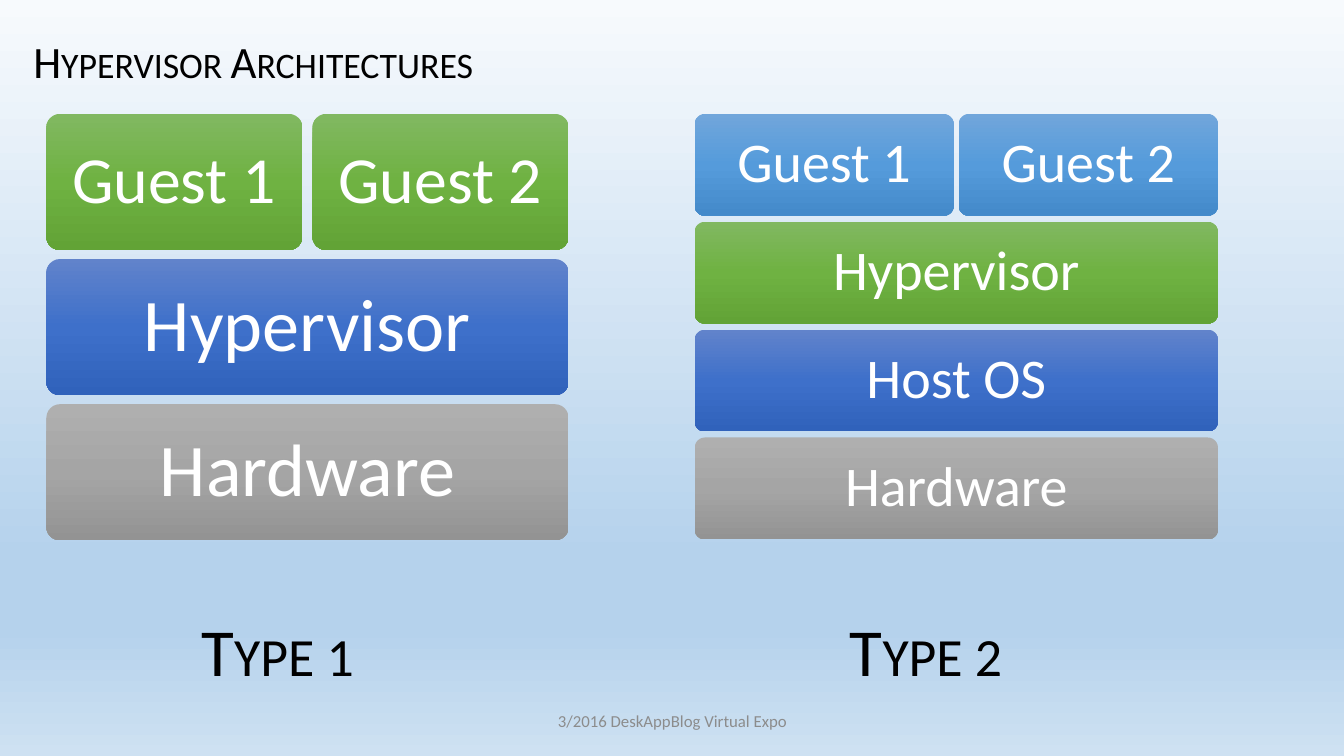
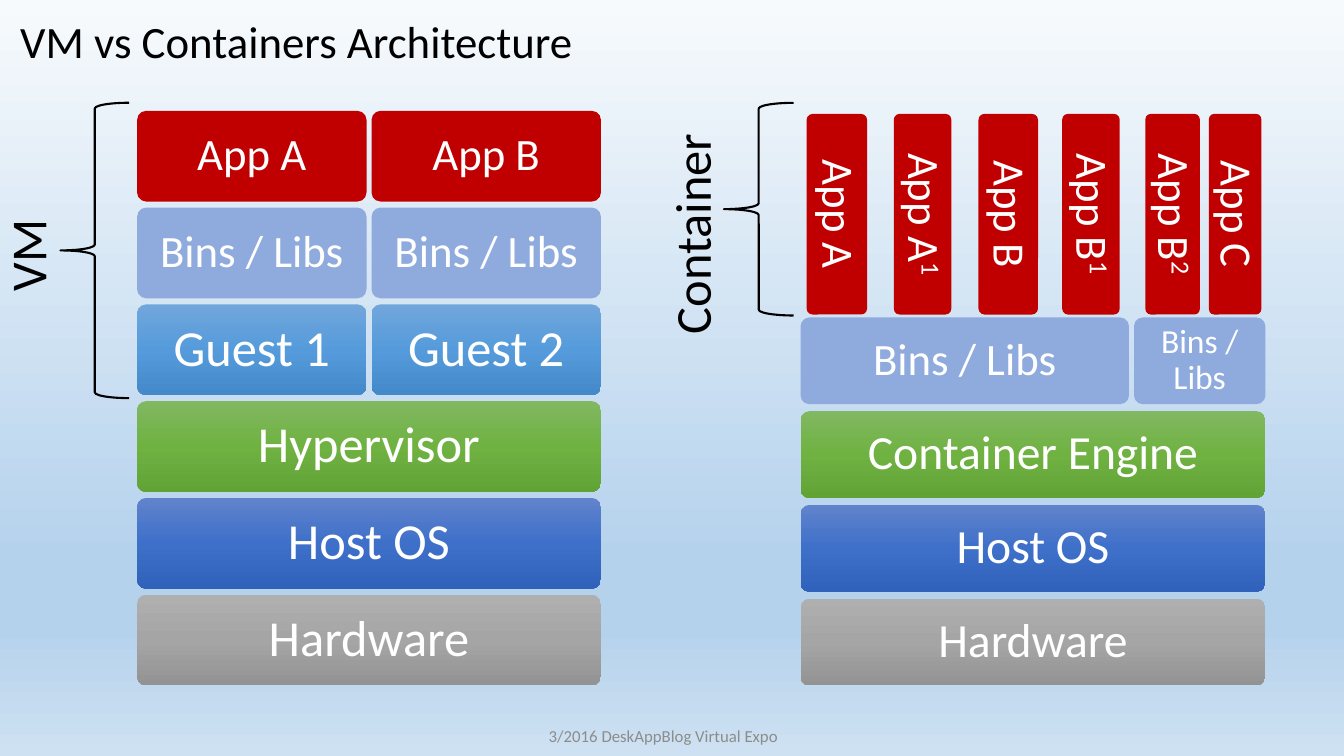
from copy import deepcopy
from dataclasses import dataclass

from pptx import Presentation
from pptx import util as u
from pptx.dml.color import RGBColor
from pptx.enum import shapes, text
from pptx.oxml.ns import qn


@dataclass(frozen=True)
class Theme:
    font: str = "Calibri"
    ink: str = "000000"
    light: str = "FFFFFF"
    muted: str = "8C8C8C"
    title: int = 32
    footer: int = 12
    label: int = 36
    caption: int = 48
    app: int = 32


THEME = Theme()
BACKGROUND = ((0, "F7FAFD"), (74, "B5D2EC"), (83, "B5D2EC"), (100, "CEE1F2"))
FILLS = {
    "gray": ((0, "AFAFAF"), (50, "A5A5A5"), (100, "939393")),
    "blue": ((0, "6183CB"), (50, "3E70CA"), (100, "3062BB")),
    "green": ((0, "81B861"), (50, "6FB242"), (100, "62A336")),
    "sky": ((0, "71A6DB"), (50, "559BDB"), (100, "448ACA")),
    "libs": "8FAADC",
    "red": "C00000",
}
FOOTER = "3/2016 DeskAppBlog Virtual Expo"

# A stack row is (fill, cells); a cell is (label, type size, share of the width).
# Boxes are left, top, width, height in inches.
SLIDES = [
    {
        "title": ("Hypervisor Architectures", (0.23, 0.28, 6, 0.64), True),
        "footer": (4.42, 6.95, 4.5, 0.4),
        "stacks": [
            {"at": (0.46, 1.13), "width": 5.18, "height": 1.35, "pitch": 1.44, "gap": 0.1,
             "rows": [("green", [("Guest 1", 47, 1), ("Guest 2", 47, 1)]),
                      ("blue", [("Hypervisor", 53, 1)]),
                      ("gray", [("Hardware", 53, 1)])]},
            {"at": (6.89, 1.13), "width": 5.19, "height": 1.01, "pitch": 1.07, "gap": 0.05,
             "rows": [("sky", [("Guest 1", 40, 1), ("Guest 2", 40, 1)]),
                      ("green", [("Hypervisor", 40, 1)]),
                      ("blue", [("Host OS", 40, 1)]),
                      ("gray", [("Hardware", 40, 1)])]},
        ],
        "captions": [("Type 1", (1.9, 5.99, 1.83, 0.91)),
                     ("Type 2", (8.33, 5.99, 1.83, 0.91))],
    },
    {
        "title": ("VM vs Containers Architecture", (0.1, 0.08, 6.79, 0.64), False),
        "footer": (4.33, 7.1, 4.5, 0.4),
        "stacks": [
            {"at": (1.36, 1.1), "width": 4.6, "height": 0.9, "pitch": 0.96, "gap": 0.05,
             "rows": [("red", [("App A", 32, 1), ("App B", 32, 1)]),
                      ("libs", [("Bins / Libs", 32, 1), ("Bins / Libs", 32, 1)]),
                      ("sky", [("Guest 1", 36, 1), ("Guest 2", 36, 1)]),
                      ("green", [("Hypervisor", 36, 1)]),
                      ("blue", [("Host OS", 36, 1)]),
                      ("gray", [("Hardware", 36, 1)])]},
            {"at": (7.94, 3.15), "width": 4.61, "height": 0.86, "pitch": 0.93, "gap": 0.05,
             "rows": [("libs", [("Bins / Libs", 32, 5), ("Bins / Libs", 24, 2)]),
                      ("green", [("Container Engine", 34, 1)]),
                      ("blue", [("Host OS", 34, 1)]),
                      ("gray", [("Hardware", 34, 1)])]},
        ],
        "braces": [("VM", (-0.2, 2.21, 0.92, 0.63), (0.6, 1.02, 0.68, 2.93)),
                   ("Container", (5.59, 1.82, 2.52, 0.67), (7.18, 1.02, 0.69, 2.11))],
        # label, superscript, centre, width
        "apps": [("App A", "", 8.3, 0.6), ("App A", "1", 9.15, 0.57),
                 ("App B", "", 10, 0.59), ("App B", "1", 10.82, 0.57),
                 ("App B", "2", 11.63, 0.54), ("App C", "", 12.25, 0.52)],
    },
]
APP_TOP, APP_HEIGHT = 1.13, 1.99


def inches(box):
    return [u.Inches(v) for v in box]


def gradient(fill, holder, stops):
    """Give fill a top-to-bottom gradient; holder is the XML element around it."""
    fill.gradient()
    fill.gradient_angle = 270
    gs_list = next(holder.iter(qn("a:gsLst")))
    while len(gs_list) < len(stops):
        gs_list.append(deepcopy(gs_list[0]))
    for stop, (position, color) in zip(fill.gradient_stops, stops):
        stop.color.rgb = RGBColor.from_string(color)
        stop.position = position / 100


def write(sp, words, size, color, align=text.PP_ALIGN.LEFT, small_caps=False,
          raised="", inset=None):
    tf = sp.text_frame
    tf.word_wrap = True
    tf.auto_size = text.MSO_AUTO_SIZE.NONE
    tf.vertical_anchor = text.MSO_ANCHOR.MIDDLE
    if inset is not None:
        tf.margin_left = tf.margin_right = u.Inches(inset)
        tf.margin_top = tf.margin_bottom = 0
    p = tf.paragraphs[0]
    p.alignment = align
    p.font.name, p.font.size = THEME.font, u.Pt(size)
    p.font.color.rgb = RGBColor.from_string(color)
    if small_caps:
        p.font._element.set("cap", "small")
    p.add_run().text = words
    if raised:
        r = p.add_run()
        r.text = raised
        r.font._element.set("baseline", "30000")
    return p


def text_box(slide, box, *args, rotation=0, **kwargs):
    sp = slide.shapes.add_textbox(*inches(box))
    sp.rotation = rotation
    write(sp, *args, **kwargs)


def block(slide, box, fill, label, size, rotation=0, raised="", inset=0.15):
    sp = slide.shapes.add_shape(shapes.MSO_SHAPE.ROUNDED_RECTANGLE, *inches(box))
    sp.adjustments[0] = 0.1
    sp.rotation = rotation
    sp.shadow.inherit = False
    sp.line.fill.background()
    paint = FILLS[fill]
    if isinstance(paint, str):
        sp.fill.solid()
        sp.fill.fore_color.rgb = RGBColor.from_string(paint)
    else:
        gradient(sp.fill, sp._element, paint)
    p = write(sp, label, size, THEME.light, text.PP_ALIGN.CENTER, raised=raised, inset=inset)
    p.line_spacing = 0.9


def stack(slide, at, width, height, pitch, gap, rows):
    left, top = at
    for i, (fill, cells) in enumerate(rows):
        unit = (width - gap * (len(cells) - 1)) / sum(share for *_, share in cells)
        x = left
        for label, size, share in cells:
            block(slide, (x, top + i * pitch, unit * share, height), fill, label, size)
            x += unit * share + gap


def app_column(slide, label, raised, centre, width):
    """Draw an app as a block turned a quarter, so its text reads downwards."""
    box = (centre - APP_HEIGHT / 2, APP_TOP + (APP_HEIGHT - width) / 2, APP_HEIGHT, width)
    block(slide, box, "red", label, THEME.app, rotation=90, raised=raised, inset=0)


def brace(slide, label, label_box, box):
    sp = slide.shapes.add_shape(shapes.MSO_SHAPE.LEFT_BRACE, *inches(box))
    sp.shadow.inherit = False
    sp.fill.background()
    sp.line.color.rgb = RGBColor.from_string(THEME.ink)
    sp.line.width = u.Pt(1.5)
    text_box(slide, label_box, label, THEME.label, THEME.ink, rotation=270)


def build(prs, content):
    slide = prs.slides.add_slide(prs.slide_layouts.get_by_name("Title Only"))
    words, box, small_caps = content["title"]
    title = slide.shapes.title
    title.left, title.top, title.width, title.height = inches(box)
    write(title, words, THEME.title, THEME.ink, small_caps=small_caps)
    for spec_of_stack in content["stacks"]:
        stack(slide, **spec_of_stack)
    for app in content.get("apps", []):
        app_column(slide, *app)
    for item in content.get("braces", []):
        brace(slide, *item)
    for caption, box in content.get("captions", []):
        text_box(slide, box, caption, THEME.caption, THEME.ink, small_caps=True)
    text_box(slide, content["footer"], FOOTER, THEME.footer, THEME.muted,
             text.PP_ALIGN.CENTER)


def main():
    prs = Presentation()
    prs.slide_width, prs.slide_height = inches((13.33, 7.5))
    master = prs.slide_master
    gradient(master.background.fill, master.element, BACKGROUND)
    for content in SLIDES:
        build(prs, content)
    prs.save("out.pptx")


if __name__ == "__main__":
    main()
